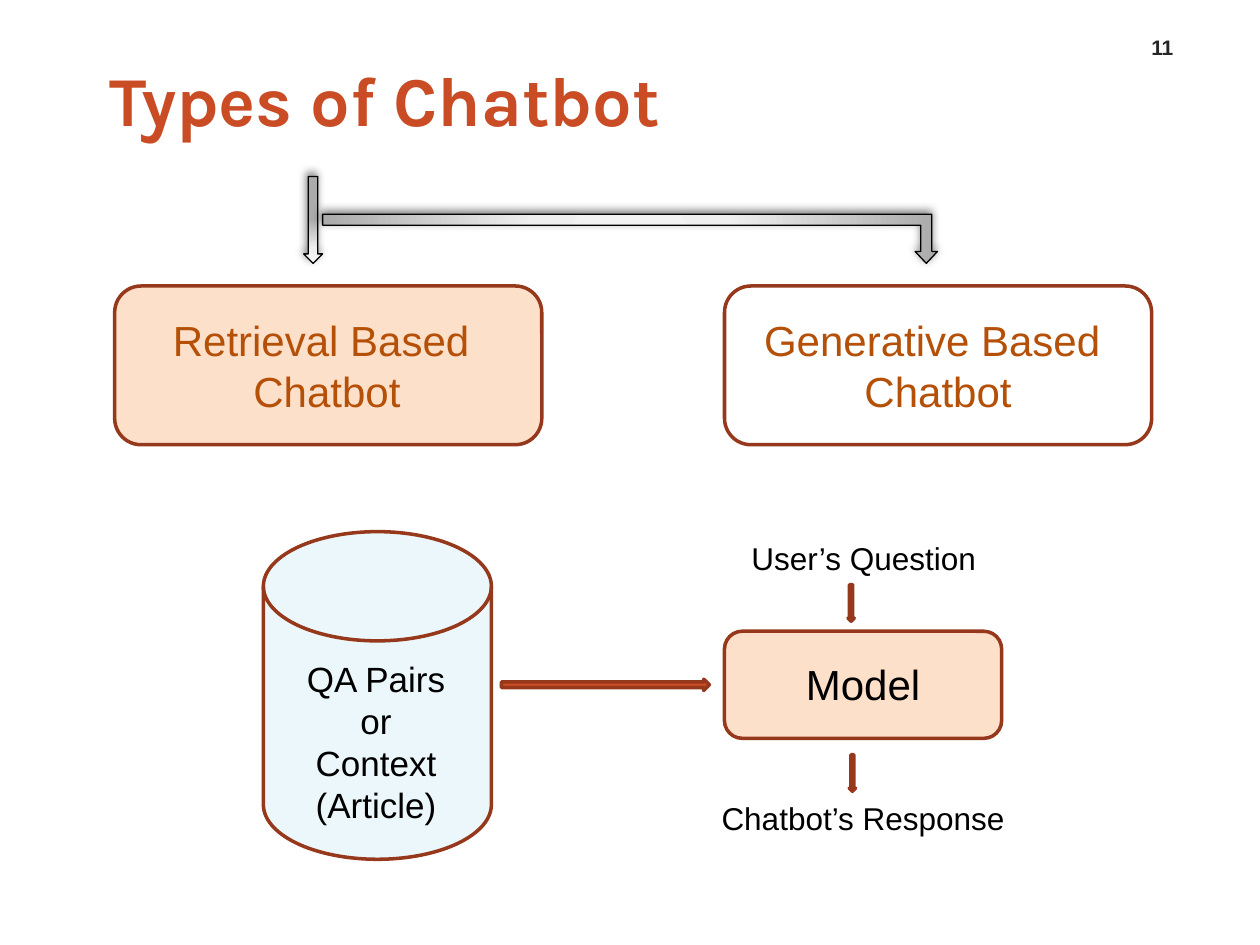
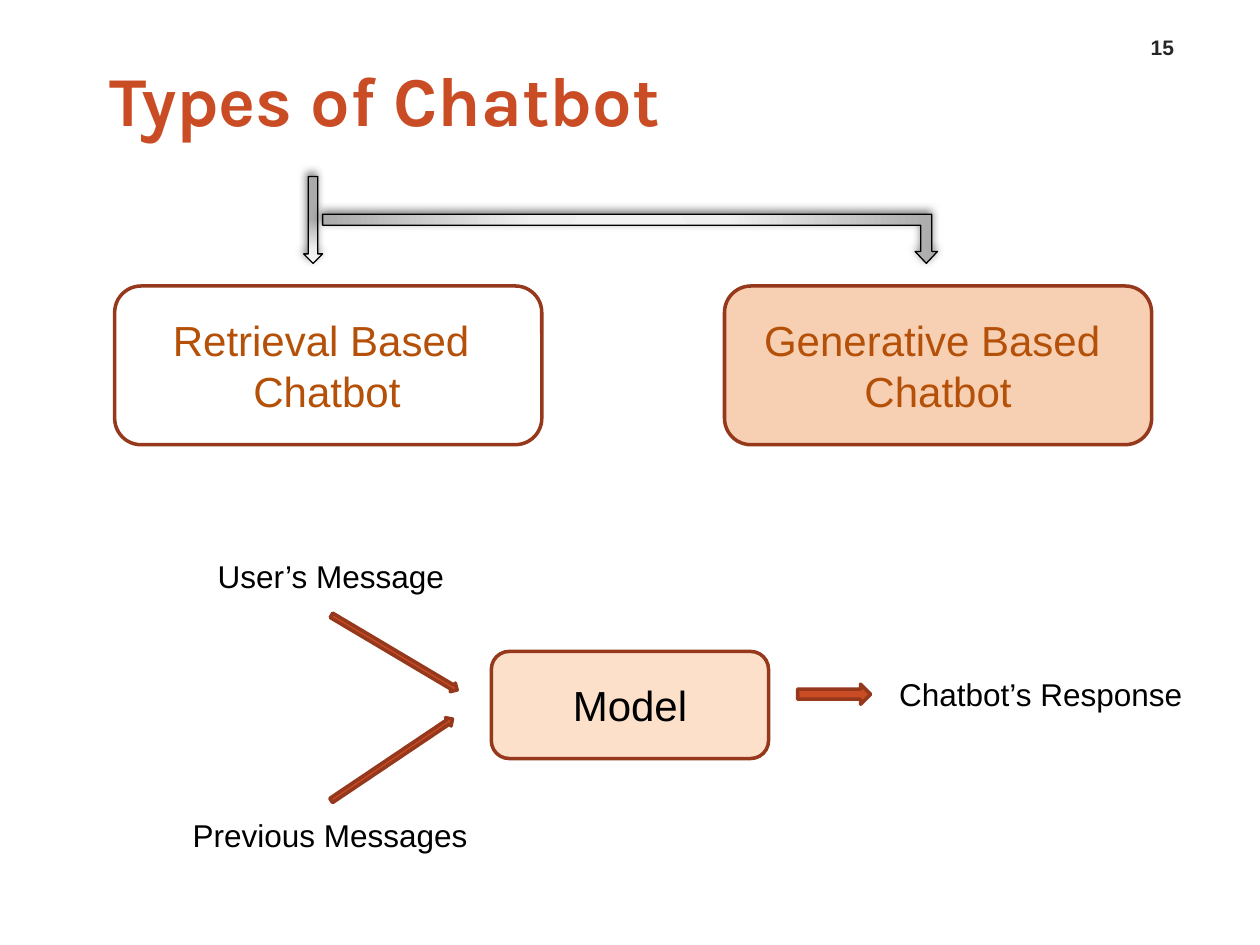
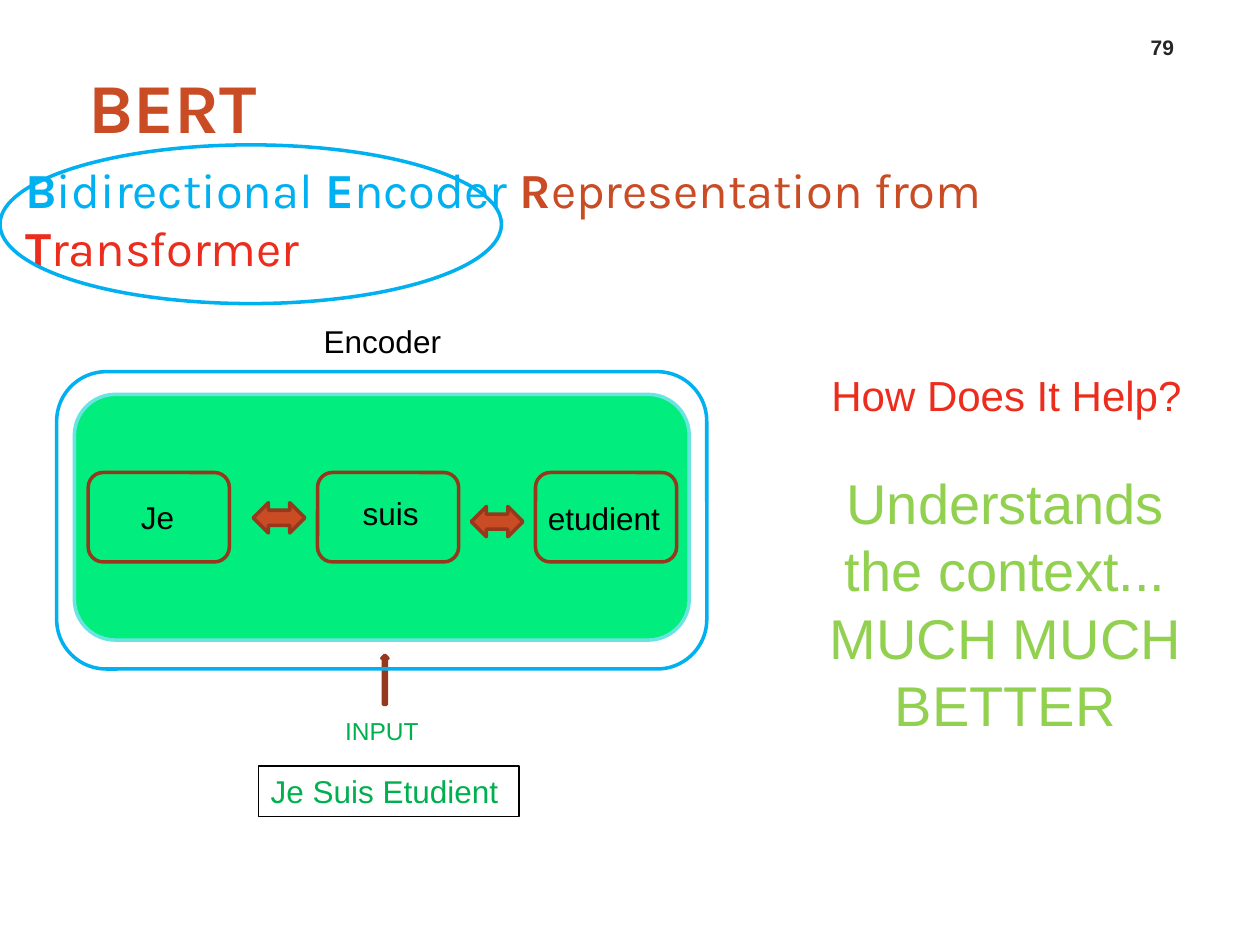
from dataclasses import dataclass

from pptx import Presentation
from pptx import util as u
from pptx.dml.color import RGBColor
from pptx.enum import shapes, text
from pptx.oxml import parse_xml
from pptx.oxml.ns import nsdecls, qn

PX = u.Inches(1) // 100
KIND = shapes.MSO_SHAPE
LEFT, CENTER = text.PP_ALIGN.LEFT, text.PP_ALIGN.CENTER
TOP, MIDDLE, BOTTOM = text.MSO_ANCHOR.TOP, text.MSO_ANCHOR.MIDDLE, text.MSO_ANCHOR.BOTTOM


@dataclass(frozen=True)
class Theme:
    heading_font: str = "Karla"
    body_font: str = "Arial"
    title_size: int = 40
    hero_size: int = 32
    subtitle_size: int = 28
    block_size: int = 24
    store_size: int = 20
    label_size: int = 18
    caption_size: int = 14
    number_size: int = 12
    thick: float = 2
    thin: float = 0.75
    rust: str = "C94C25"
    brown: str = "95381B"
    orange: str = "B45007"
    peach: str = "FDE0CA"
    deep_peach: str = "F7CFB3"
    ice: str = "EBF7FA"
    blue: str = "00B0F0"
    red: str = "EC2C1C"
    mint: str = "01ED7D"
    aqua: str = "6AE4E0"
    green: str = "00B050"
    lime: str = "92D050"
    black: str = "000000"
    charcoal: str = "262626"


theme = Theme()
TITLE_FORMAT = dict(size=theme.title_size, color=theme.rust, bold=True, font=theme.heading_font,
                    align=LEFT, anchor=MIDDLE, margins=(20, 5, 0, 5), grow=False)
NUMBER_FORMAT = dict(size=theme.number_size, color=theme.charcoal, bold=True,
                     anchor=BOTTOM, grow=False)
NUMBER_BOX = (895, 19, 55, 33)

METAL_FILL = f"""<a:gradFill {nsdecls("a")} rotWithShape="1"><a:gsLst>
<a:gs pos="0"><a:srgbClr val="F4F4F4"/></a:gs>
<a:gs pos="34000"><a:srgbClr val="EFEFEF"/></a:gs>
<a:gs pos="100000"><a:srgbClr val="ABABAB"/></a:gs></a:gsLst>
<a:path path="circle"><a:fillToRect l="110000" t="250000" r="110000" b="40000"/></a:path>
</a:gradFill>"""
METAL_SHADOW = f"""<a:outerShdw {nsdecls("a")} blurRad="63500" dist="25400" dir="14700000"
rotWithShape="0"><a:srgbClr val="000000"><a:alpha val="50000"/></a:srgbClr></a:outerShdw>"""


def add_text(slide, content, box, shape=None, size=theme.label_size, color=theme.black,
             bold=False, font=theme.body_font, align=CENTER, anchor=TOP,
             margins=(10, 5, 10, 5), grow=True):
    """Write lines of text, or one paragraph of (text, color, bold) runs, in a box."""
    lengths = [length * PX for length in box]
    shape = shape or slide.shapes.add_textbox(*lengths)
    shape.left, shape.top, shape.width, shape.height = lengths
    frame = shape.text_frame
    frame.word_wrap = True
    frame.auto_size = (text.MSO_AUTO_SIZE.SHAPE_TO_FIT_TEXT if grow
                       else text.MSO_AUTO_SIZE.NONE)
    frame.vertical_anchor = anchor
    (frame.margin_left, frame.margin_top,
     frame.margin_right, frame.margin_bottom) = [margin * PX for margin in margins]
    if isinstance(content, str):
        lines = [[(line, color, bold)] for line in content.split("\n")]
    else:
        lines = [content]
    for index, runs in enumerate(lines):
        paragraph = frame.add_paragraph() if index else frame.paragraphs[0]
        paragraph.alignment = align
        for words, run_color, run_bold in runs:
            run = paragraph.add_run()
            run.text = words
            run.font.name = font
            run.font.size = u.Pt(size)
            run.font.bold = run_bold
            run.font.color.rgb = RGBColor.from_string(run_color)
    return shape


def add_block(slide, kind, box, fill=None, line=theme.brown, rotation=0, metal=False):
    """Add a preset shape; metal gives it the grey gradient, thin line and shadow."""
    shape = slide.shapes.add_shape(kind, *[length * PX for length in box])
    shape.rotation = rotation
    shape.shadow.inherit = False
    shape.line.color.rgb = RGBColor.from_string(line)
    shape.line.width = u.Pt(theme.thin if metal else theme.thick)
    properties = shape._element.spPr
    if metal:
        properties.find(qn("a:prstGeom")).addnext(parse_xml(METAL_FILL))
        properties.find(qn("a:effectLst")).append(parse_xml(METAL_SHADOW))
    elif fill:
        shape.fill.solid()
        shape.fill.fore_color.rgb = RGBColor.from_string(fill)
    else:
        shape.fill.background()
    return shape


presentation = Presentation()
presentation.slide_width = 1000 * PX
presentation.slide_height = 750 * PX
title_only = presentation.slide_layouts[5]

# Both chatbot slides: the two types, with the current one filled
type_slides = []
for number, retrieval_fill, generative_fill in (("11", theme.peach, None),
                                                ("15", None, theme.deep_peach)):
    slide = presentation.slides.add_slide(title_only)
    add_text(slide, "Types of Chatbot", (67, 35, 488, 87), slide.shapes.title, **TITLE_FORMAT)
    add_text(slide, number, NUMBER_BOX, **NUMBER_FORMAT)
    add_block(slide, KIND.DOWN_ARROW, (241, 140, 15, 69), line=theme.black, metal=True)
    branch = add_block(slide, KIND.BENT_UP_ARROW, (256, 170, 488, 39), line=theme.black,
                       rotation=180, metal=True)
    branch._element.spPr.find(qn("a:xfrm")).set("flipH", "1")
    for index, adjustment in enumerate((0.224, 0.228, 0.244)):
        branch.adjustments[index] = adjustment
    for left, label_left, label, fill in (
            (91, 98, "Retrieval Based \nChatbot", retrieval_fill),
            (575, 583, "Generative Based \nChatbot", generative_fill)):
        add_block(slide, KIND.ROUNDED_RECTANGLE, (left, 227, 339, 126), fill)
        add_text(slide, label, (label_left, 245, 323, 91), size=theme.block_size,
                 color=theme.orange)
    type_slides.append(slide)
retrieval_slide, generative_slide = type_slides

# The model and its labels on each chatbot slide
add_block(retrieval_slide, KIND.FLOWCHART_MAGNETIC_DISK, (209, 422, 181, 260), theme.ice)
add_text(retrieval_slide, "QA Pairs\nor\nContext (Article)", (220, 517, 157, 145),
         size=theme.store_size)
for slide, left, top in ((retrieval_slide, 575, 501), (generative_slide, 390, 517)):
    add_block(slide, KIND.ROUNDED_RECTANGLE, (left, top, 220, 85), theme.peach)
    add_text(slide, "Model", (left, top + 17, 220, 50), size=theme.block_size)

for slide, label, box in (
        (retrieval_slide, "User’s Question", (583, 423, 205, 40)),
        (retrieval_slide, "Chatbot’s Response", (561, 629, 248, 40)),
        (generative_slide, "User’s Message", (160, 437, 205, 40)),
        (generative_slide, "Previous Messages", (138, 643, 248, 40)),
        (generative_slide, "Chatbot’s Response", (702, 531, 248, 40))):
    add_text(slide, label, box)

for slide, kind, box, rotation in (
        (retrieval_slide, KIND.DOWN_ARROW, (673, 464, 5, 29), 0),
        (retrieval_slide, KIND.DOWN_ARROW, (674, 599, 5, 29), 0),
        (retrieval_slide, KIND.RIGHT_ARROW, (398, 539, 165, 9), 0),
        (generative_slide, KIND.RIGHT_ARROW, (255, 514, 116, 8), 30.7),
        (generative_slide, KIND.RIGHT_ARROW, (633, 543, 58, 16), 0),
        (generative_slide, KIND.RIGHT_ARROW, (253, 599, 116, 8), 326.1)):
    add_block(slide, kind, box, theme.rust, rotation=rotation)

# BERT: heading and spelled-out name
slide = presentation.slides.add_slide(title_only)
add_text(slide, "BERT", (50, 40, 533, 87), slide.shapes.title, **TITLE_FORMAT)
add_text(slide, "79", NUMBER_BOX, **NUMBER_FORMAT)
full_name = [("B", theme.blue, True), ("idirectional", theme.blue, False),
             (" E", theme.blue, True), ("ncoder", theme.blue, False),
             (" R", theme.rust, True), ("epresentation from ", theme.rust, False),
             ("T", theme.red, True), ("ransformer", theme.red, False)]
add_text(slide, full_name, (0, 139, 1000, 87), size=theme.subtitle_size,
         font=theme.heading_font, align=LEFT, anchor=MIDDLE, margins=(20, 5, 0, 24), grow=False)
add_block(slide, KIND.OVAL, (0, 115, 398, 126), line=theme.blue)

# Encoder with its input
add_block(slide, KIND.ROUNDED_RECTANGLE, (59, 313, 488, 195), theme.mint, theme.aqua)
add_block(slide, KIND.UP_ARROW, (303, 520, 5, 39), theme.black)
add_block(slide, KIND.ROUNDED_RECTANGLE, (45, 295, 516, 236), line=theme.blue)
add_text(slide, "Encoder", (200, 251, 207, 40))
add_text(slide, "INPUT", (264, 563, 79, 34), size=theme.caption_size, color=theme.green,
         align=LEFT)
sentence = add_text(slide, "Je Suis Etudient", (205, 608, 207, 40), color=theme.green,
                    align=LEFT)
sentence.line.color.rgb = RGBColor.from_string(theme.black)
sentence.line.width = u.Pt(theme.thin)

for left, word, label_box in ((70, "Je", (102, 390, 48, 40)),
                              (252, "suis", (278, 387, 78, 40)),
                              (425, "etudient", (425, 391, 112, 40))):
    add_block(slide, KIND.ROUNDED_RECTANGLE, (left, 375, 112, 71))
    add_text(slide, word, label_box, align=LEFT)
for left, top in ((201, 399), (374, 402)):
    add_block(slide, KIND.LEFT_RIGHT_ARROW, (left, top, 41, 24), theme.rust)

# Benefit
add_text(slide, "How Does It Help?", (650, 288, 323, 50), size=theme.block_size,
         color=theme.red, align=LEFT)
add_text(slide, "Understands the context...\nMUCH MUCH\nBETTER", (646, 367, 304, 226),
         size=theme.hero_size, color=theme.lime)

presentation.save("out.pptx")
